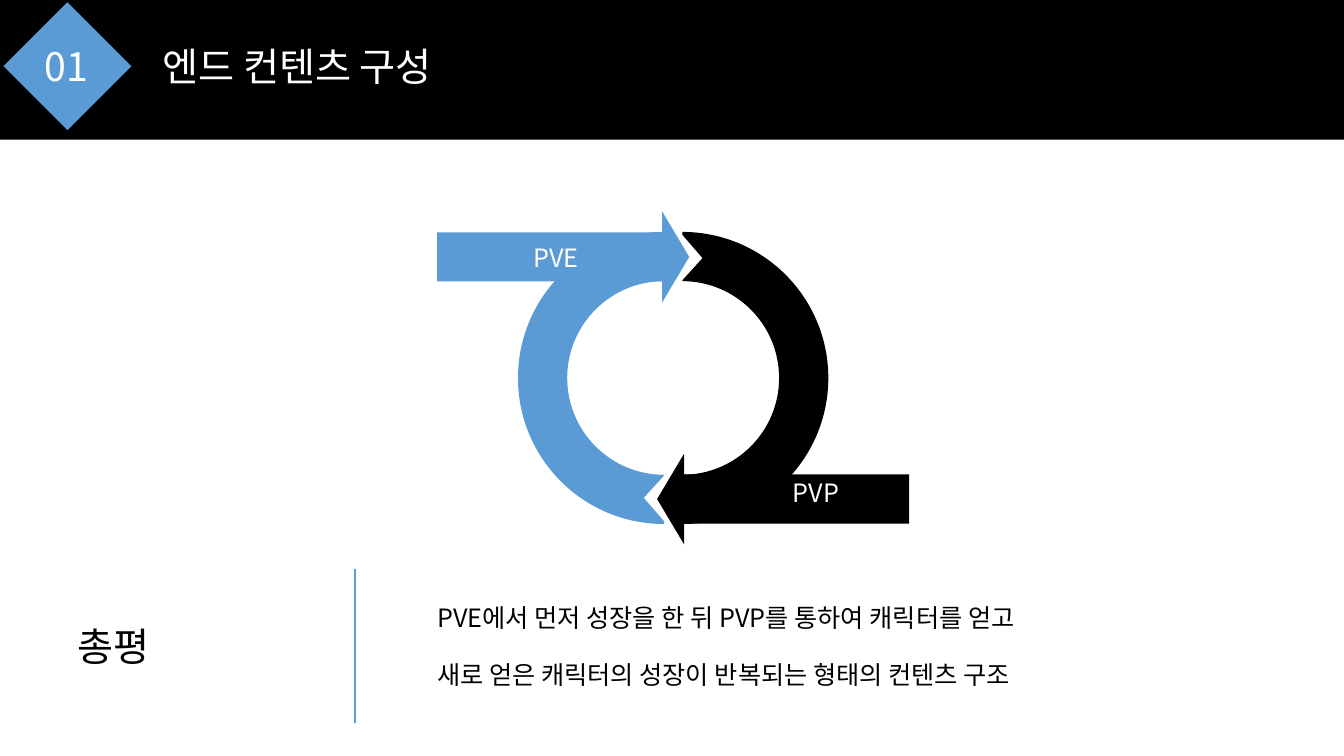
from lxml import etree
from pptx import Presentation
from pptx import util as u
from pptx.dml.color import RGBColor
from pptx.enum import shapes, text
from pptx.oxml import ns

COLORS = {"black": "000000", "white": "FFFFFF", "blue": "5A9BD5", "rule": "5B9BD5"}
FONT = "Noto Sans CJK KR"
SLIDE_W, SLIDE_H = 33.87, 19.05


def rgb(color):
    return RGBColor.from_string(COLORS[color])


def paint(shape, color):
    shape.shadow.inherit = False
    shape.fill.solid()
    shape.fill.fore_color.rgb = rgb(color)
    shape.line.fill.background()


def write(frame, words, size, color, align=text.PP_ALIGN.LEFT):
    paragraph = frame.paragraphs[0]
    paragraph.alignment = align
    run = paragraph.add_run()
    run.text = words
    run.font.size = u.Pt(size)
    run.font.color.rgb = rgb(color)
    run.font.name = FONT


def add_label(slide, box, words, size, color, align=text.PP_ALIGN.LEFT):
    label = slide.shapes.add_textbox(*map(u.Cm, box))
    label.text_frame.word_wrap = True
    write(label.text_frame, words, size, color, align)


def add_block(slide, kind, box, color):
    block = slide.shapes.add_shape(kind, *map(u.Cm, box))
    paint(block, color)
    return block


def add_header(slide, box, number, title):
    left, top, _, _ = box
    add_block(slide, shapes.MSO_SHAPE.RECTANGLE, box, "black")
    add_label(slide, (left + 3.84, top + 0.94, 12.01, 1.45), title, 28, "white")
    # Numbered diamond
    diamond = add_block(slide, shapes.MSO_SHAPE.RECTANGLE,
                        (left + 0.56, top + 0.53, 2.28, 2.28), "blue")
    diamond.rotation = 45
    add_label(slide, (left + 0.59, top + 0.94, 2.18, 1.45), number, 28, "white",
              text.PP_ALIGN.CENTER)


def bend(outline, first):
    """Turn the three straight segments from index first into one curve."""
    segments = list(outline._element.iter(ns.qn("a:lnTo")))[first:first + 3]
    curve = etree.Element(ns.qn("a:cubicBezTo"))
    segments[0].addprevious(curve)
    for segment in segments:
        curve.append(segment[0])
        segment.getparent().remove(segment)


def half_circle(radius):
    """Start, then two quarter curves of two handles and an end, top to bottom."""
    handle = 0.5523 * radius
    return [(0, -radius), (-handle, -radius), (-radius, -handle), (-radius, 0),
            (-radius, handle), (-handle, radius), (0, radius)]


def add_half_ring(slide, center_x, center_y, side, color):
    """Half ring with a notched end; side 1 opens right, -1 is turned by 180°."""
    notch = [(0, 3.61), (-0.51, 3.02), (0, 2.46)]
    offsets = half_circle(3.68) + notch + half_circle(2.44)[::-1]
    points = [(u.Cm(center_x + side * x), u.Cm(center_y + side * y)) for x, y in offsets]
    builder = slide.shapes.build_freeform(*points[0])
    builder.add_line_segments(points[1:], close=True)
    ring = builder.convert_to_shape()
    # Curves are bent from the last to the first, so earlier indexes stay valid
    for first in (13, 10, 3, 0):
        bend(ring, first)
    paint(ring, color)


def add_cycle(slide, box):
    left, top, width, height = box
    center_x, center_y = left + width / 2, top + height / 2
    arrow_w, arrow_h, gap = 6.35, 2.29, 0.46
    halves = (
        (-1, "black", left + width - arrow_w, top + height - arrow_h),
        (1, "blue", left, top),
    )
    for side, color, arrow_x, arrow_y in halves:
        add_half_ring(slide, center_x - side * gap / 2, center_y, side, color)
        arrow = add_block(slide, shapes.MSO_SHAPE.RIGHT_ARROW,
                          (arrow_x, arrow_y, arrow_w, arrow_h), color)
        arrow.adjustments[0] = 0.541
        arrow.adjustments[1] = 0.297
        if side == 1:
            arrow.text_frame.vertical_anchor = text.MSO_ANCHOR.MIDDLE
            write(arrow.text_frame, "PVE", 18, "white", text.PP_ALIGN.CENTER)
        else:
            arrow.rotation = 180
            add_label(slide, (arrow_x + 3.17, arrow_y + 0.47, 3.1, 0.99), "PVP", 18, "white")


def add_review(slide, box, heading, sentences):
    left, top, width, height = box
    add_label(slide, (left, top + 1.21, 5.89, 1.45), heading, 28, "black")
    # Divider
    divider_x = u.Cm(left + 7.24)
    divider = slide.shapes.add_connector(shapes.MSO_CONNECTOR.STRAIGHT, divider_x, u.Cm(top),
                                         divider_x, u.Cm(top + height))
    divider.line.color.rgb = rgb("rule")
    divider.line.width = u.Pt(1.5)
    etree.SubElement(divider._element.spPr, ns.qn("a:effectLst"))
    # Sentences
    for row, sentence in enumerate(sentences):
        add_label(slide, (left + 9.07, top + 0.7 + row * 1.45, width - 9.07, 1.02),
                  sentence, 18, "black")


def main():
    deck = Presentation()
    deck.slide_width, deck.slide_height = u.Cm(SLIDE_W), u.Cm(SLIDE_H)
    slide = deck.slides.add_slide(deck.slide_layouts[6])
    add_header(slide, (0, 0, SLIDE_W, 3.52), "01", "엔드 컨텐츠 구성")
    add_review(slide, (1.7, 14.35, 29.7, 3.88), "총평", (
        "PVE에서 먼저 성장을 한 뒤 PVP를 통하여 캐릭터를 얻고",
        "새로 얻은 캐릭터의 성장이 반복되는 형태의 컨텐츠 구조",
    ))
    add_cycle(slide, (11.02, 5.33, 11.89, 8.39))
    deck.save("out.pptx")


if __name__ == "__main__":
    main()
